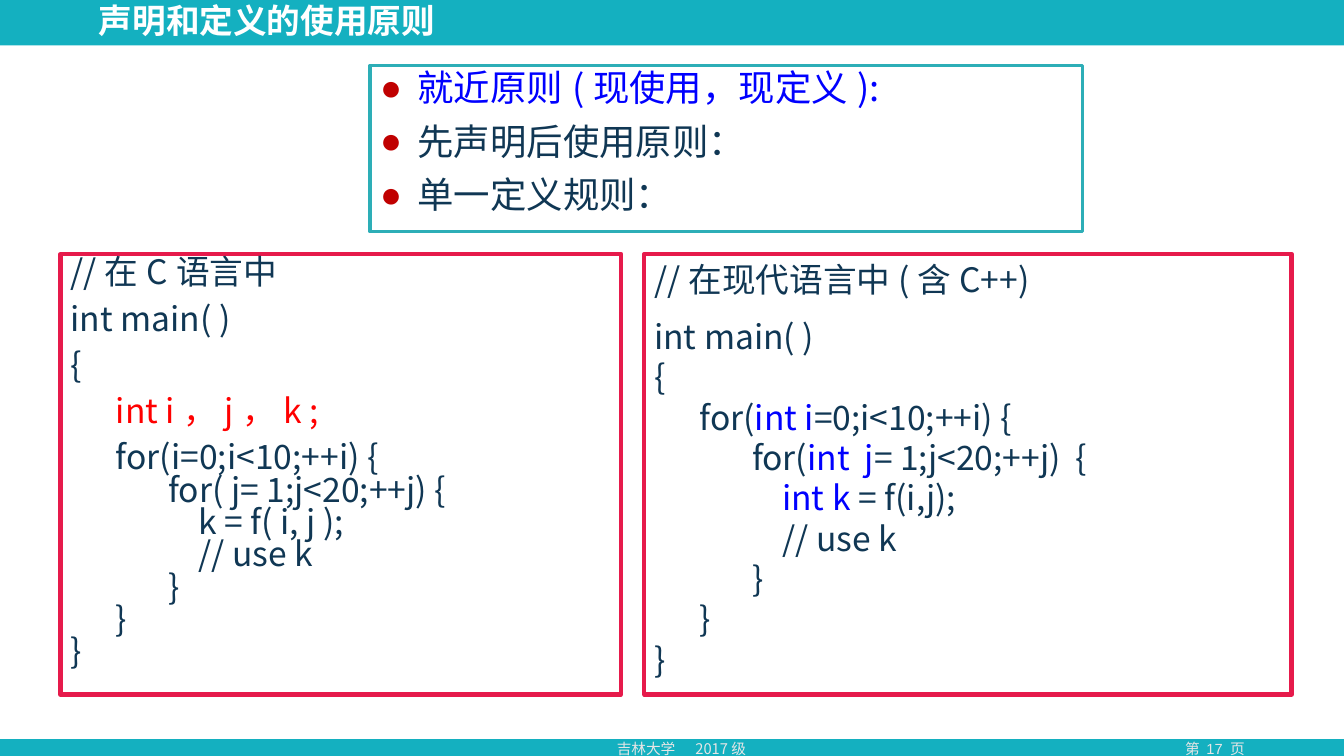
from lxml.etree import SubElement
from pptx import Presentation
from pptx.dml.color import RGBColor
from pptx.enum.shapes import MSO_SHAPE as Preset
from pptx.enum.text import MSO_ANCHOR as Anchor, MSO_AUTO_SIZE as AutoSize, PP_ALIGN as Align
from pptx.oxml.ns import qn
from pptx.util import Inches, Pt

FONT = "Noto Sans CJK SC"
TEAL, WHITE, PALE = "14B0C0", "FFFFFF", "E7E6E6"
NAVY, BLUE, RED, CRIMSON = "103754", "0000FF", "FF0000", "E61A4B"
INDENTS = [0, 0.45, 0.97, 1.27]

RULES = [
    [("就近原则(现使用，现定义):", BLUE)],
    [("先声明后使用原则：", NAVY)],
    [("单一定义规则：", NAVY)],
]
C_CODE = [
    (0, 10, [("//在C语言中", NAVY)]),
    (0, 10, [("int main( )", NAVY)]),
    (0, 10, [("{", NAVY)]),
    (1, 10, [("int i，j，k ;", RED)]),
    (1, 10, [("for(i=0;i<10;++i) {", NAVY)]),
    (2, 0, [("for( j= 1;j<20;++j) {", NAVY)]),
    (3, 0, [("k = f( i, j );", NAVY)]),
    (3, 0, [("// use k", NAVY)]),
    (2, 0, [("}", NAVY)]),
    (1, 0, [("}", NAVY)]),
    (0, 0, [("}", NAVY)]),
]
MODERN_CODE = [
    (0, 12, [("//在现代语言中(含C++)", NAVY)]),
    (0, 12, [("int main( )", NAVY)]),
    (0, 0, [("{", NAVY)]),
    (1, 0, [("for(", NAVY), ("int i", BLUE), ("=0;i<10;++i) {", NAVY)]),
    (2, 0, [("for(", NAVY), ("int  j", BLUE), ("= 1;j<20;++j)  {", NAVY)]),
    (3, 0, [("int k", BLUE), (" = f(i,j);", NAVY)]),
    (3, 0, [("// use k", NAVY)]),
    (2, 0, [("}", NAVY)]),
    (1, 0, [("}", NAVY)]),
    (0, 0, [("}", NAVY)]),
]


def color(value):
    """Turn a hex string into a colour."""
    return RGBColor.from_string(value)


def assign(target, values):
    """Set attributes from a dict of format values."""
    for name, value in values.items():
        setattr(target, name, value)


def place(box, left, top, width, height):
    """Move and size a box, given in inches."""
    assign(box, {"left": Inches(left), "top": Inches(top),
                 "width": Inches(width), "height": Inches(height)})


def outline(box, line_color, width):
    """Draw the border of a box."""
    box.line.color.rgb = color(line_color)
    box.line.width = Pt(width)


def add_panel(page, top, height, fill):
    """Add a full-width rectangle."""
    panel = page.shapes.add_shape(Preset.RECTANGLE, 0, Inches(top), Inches(13.33), Inches(height))
    panel.shadow.inherit = False
    panel.fill.solid()
    panel.fill.fore_color.rgb = color(fill)
    panel.line.fill.background()


def prepare(box, anchor=Anchor.TOP):
    """Fix the size, wrapping and anchor of a text frame."""
    assign(box.text_frame, {"word_wrap": True, "auto_size": AutoSize.NONE,
                            "vertical_anchor": anchor})


def write(para, spans, size, font=FONT, bold=False, **layout):
    """Fill a paragraph with coloured spans."""
    assign(para, layout)
    for text, shade in spans:
        span = para.add_run()
        span.text = text
        assign(span.font, {"size": Pt(size), "name": font, "bold": bold})
        span.font.color.rgb = color(shade)
        SubElement(span.font._element, qn("a:ea"), typeface=FONT)


def paragraphs(box, count):
    """Return the given number of paragraphs of an empty box."""
    frame = box.text_frame
    return [frame.paragraphs[0]] + [frame.add_paragraph() for _ in range(count - 1)]


def set_indent(para, margin, first, bullet=None):
    """Set the indents and the bullet of a paragraph."""
    props = para._p.get_or_add_pPr()
    props.set("marL", str(Inches(margin)))
    props.set("indent", str(Inches(first)))
    if bullet:
        shade = SubElement(props, qn("a:buClr"))
        SubElement(shade, qn("a:srgbClr"), val=bullet)
        SubElement(props, qn("a:buFont"), typeface="Arial")
        SubElement(props, qn("a:buChar"), char="●")
    else:
        SubElement(props, qn("a:buNone"))


def fill_rules(box):
    """Write the bulleted list of principles."""
    prepare(box)
    outline(box, "2DAEB7", 2.25)
    for para, spans in zip(paragraphs(box, len(RULES)), RULES):
        write(para, spans, 26, line_spacing=0.9, space_before=Pt(10))
        set_indent(para, 0.37, -0.37, "C00000")


def fill_code(box, lines, spacing):
    """Write indented code lines in a framed box."""
    prepare(box)
    outline(box, CRIMSON, 3)
    for para, (level, before, spans) in zip(paragraphs(box, len(lines)), lines):
        write(para, spans, 24, line_spacing=spacing, space_before=Pt(before))
        set_indent(para, INDENTS[level], 0)


def add_footer(page, left, width, text, font=FONT, align=Align.LEFT):
    """Add a small label in the bottom band."""
    box = page.shapes.add_textbox(0, 0, 0, 0)
    place(box, left, 7.29, width, 0.28)
    prepare(box)
    write(box.text_frame.paragraphs[0], [(text, PALE)], 10.5, font, alignment=align)


def main():
    """Build the slide and save it."""
    deck = Presentation()
    assign(deck, {"slide_width": Inches(13.33), "slide_height": Inches(7.5)})
    page = deck.slides.add_slide(deck.slide_layouts[3])
    title, rules, c_box = page.placeholders

    add_panel(page, 0, 7.5, TEAL)
    add_panel(page, 0.45, 6.88, WHITE)
    add_footer(page, 11.32, 1.46, "第 17 页", "Arial", Align.CENTER)
    add_footer(page, 6.02, 0.9, "吉林大学")
    add_footer(page, 6.8, 1.06, "2017级")

    place(title, 0.88, 0.03, 7.68, 0.39)
    prepare(title, Anchor.MIDDLE)
    write(title.text_frame.paragraphs[0], [("声明和定义的使用原则", WHITE)], 24,
          bold=True, alignment=Align.LEFT, line_spacing=0.9)
    place(rules, 3.67, 0.65, 7.07, 1.65)
    fill_rules(rules)
    place(c_box, 0.6, 2.52, 5.56, 4.37)
    fill_code(c_box, C_CODE, 0.8)
    for box in (title, rules, c_box):
        page.shapes._spTree.append(box._element)

    modern_box = page.shapes.add_textbox(0, 0, 0, 0)
    place(modern_box, 6.39, 2.52, 6.42, 4.37)
    fill_code(modern_box, MODERN_CODE, 1.0)
    deck.save("out.pptx")


if __name__ == "__main__":
    main()
